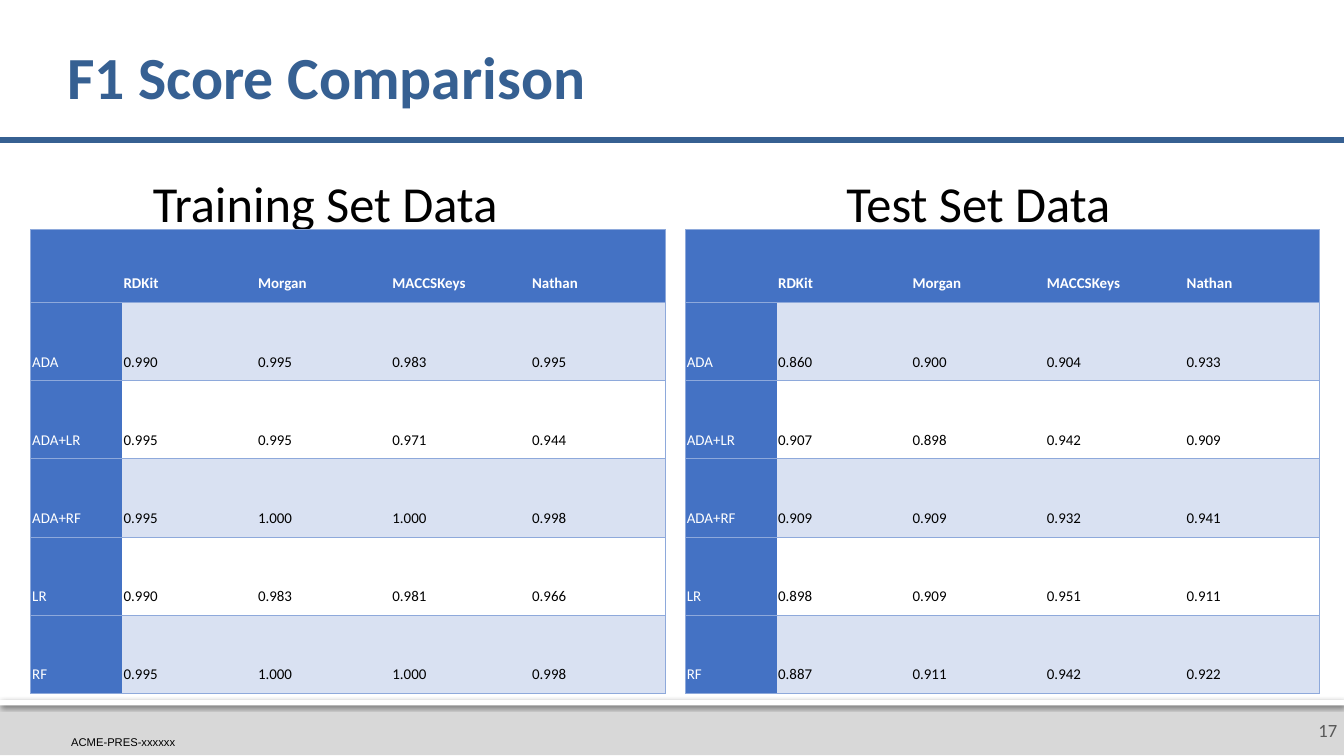
from dataclasses import dataclass

from pptx import Presentation
from pptx.dml.color import RGBColor
from pptx.enum.shapes import MSO_CONNECTOR as Connector, MSO_SHAPE as Shape
from pptx.enum.text import MSO_ANCHOR as Anchor, PP_ALIGN as Align
from pptx.oxml import parse_xml
from pptx.oxml.ns import nsdecls, qn
from pptx.util import Inches, Pt


@dataclass(frozen=True)
class Theme:
    title: str = "366092"
    header: str = "4472C4"
    band: str = "D9E1F2"
    border: str = "8EA9DB"
    footer: str = "D8D8D8"
    number: str = "595959"
    black: str = "000000"
    white: str = "FFFFFF"
    font: str = "Calibri"
    footer_font: str = "Arial"
    title_size: float = 32
    heading_size: float = 27
    number_size: float = 10
    cell_size: float = 8
    footer_size: float = 6


theme = Theme()
NO_GRID_STYLE = "{2D5ABB26-0587-4C30-8999-92F81FD0307C}"
COLUMN_WIDTHS = [0.68, 1, 1, 1.04, 1]
ROW_HEIGHTS = [0.54] + [2.91 / 5] * 5
FINGERPRINTS = ["", "RDKit", "Morgan", "MACCSKeys", "Nathan"]
MODELS = ["ADA", "ADA+LR", "ADA+RF", "LR", "RF"]
TRAINING_SCORES = [
    [0.990, 0.995, 0.983, 0.995],
    [0.995, 0.995, 0.971, 0.944],
    [0.995, 1.000, 1.000, 0.998],
    [0.990, 0.983, 0.981, 0.966],
    [0.995, 1.000, 1.000, 0.998],
]
TEST_SCORES = [
    [0.860, 0.900, 0.904, 0.933],
    [0.907, 0.898, 0.942, 0.909],
    [0.909, 0.909, 0.932, 0.941],
    [0.898, 0.909, 0.951, 0.911],
    [0.887, 0.911, 0.942, 0.922],
]


def add_run(paragraph, text, size, color, bold=False, font=theme.font):
    run = paragraph.add_run()
    run.text = text
    run.font.name = font
    run.font.size = Pt(size)
    run.font.bold = bold
    run.font.color.rgb = RGBColor.from_string(color)


def add_text_box(box, insets, anchor, align):
    """Add an empty text box and return its first paragraph."""
    frame = slide.shapes.add_textbox(*map(Inches, box)).text_frame
    frame.word_wrap = True
    frame.vertical_anchor = anchor
    (frame.margin_left, frame.margin_top,
     frame.margin_right, frame.margin_bottom) = map(Inches, insets)
    paragraph = frame.paragraphs[0]
    paragraph.alignment = align
    return paragraph


presentation = Presentation()
presentation.slide_width = Inches(10)
presentation.slide_height = Inches(10 * 9 / 16)
slide = presentation.slides.add_slide(presentation.slide_layouts[6])

# Footer
for height, color in [(0.41, theme.footer), (0.04, theme.white)]:
    bar = slide.shapes.add_shape(
        Shape.RECTANGLE, Inches(0), Inches(5.21), Inches(10), Inches(height))
    bar.shadow.inherit = False
    bar.fill.solid()
    bar.fill.fore_color.rgb = RGBColor.from_string(color)
    bar.line.fill.background()
bar.element.spPr.find(qn("a:effectLst")).append(parse_xml(
    f'<a:outerShdw {nsdecls("a")} blurRad="{Pt(2.5)}" dist="{Pt(0.8)}" '
    f'dir="5400000" rotWithShape="0"><a:srgbClr val="{theme.black}">'
    '<a:alpha val="60000"/></a:srgbClr></a:outerShdw>'))

paragraph = add_text_box((9.65, 5.25, 0.35, 0.37), (0.1, 0.05, 0.05, 0.05),
                         Anchor.MIDDLE, Align.RIGHT)
add_run(paragraph, "17", theme.number_size, theme.number)
paragraph = add_text_box((0.53, 5.49, 0.96, 0.08), (0, 0, 0, 0),
                         Anchor.BOTTOM, Align.LEFT)
add_run(paragraph, "ACME-PRES-xxxxxx", theme.footer_size, theme.black,
        font=theme.footer_font)

# Title
rule = slide.shapes.add_connector(
    Connector.STRAIGHT, Inches(-0.01), Inches(1.04), Inches(10), Inches(1.04))
rule.line.color.rgb = RGBColor.from_string(theme.title)
rule.line.width = Pt(3)
rule.element.spPr.append(parse_xml(f'<a:effectLst {nsdecls("a")}/>'))

paragraph = add_text_box((0.5, 0.18, 9, 0.83), (0, 0.05, 0.05, 0.05),
                         Anchor.MIDDLE, Align.LEFT)
paragraph.line_spacing = 0.9
add_run(paragraph, "F1 Score Comparison", theme.title_size, theme.title, bold=True)

# Score tables with their headings
for heading, heading_left, table_left, scores in [
    ("Training Set Data", 0.57, 0.23, TRAINING_SCORES),
    ("Test Set Data", 5.43, 5.1, TEST_SCORES),
]:
    paragraph = add_text_box((heading_left, 1.18, 3.7, 0.53), (0.1,) * 4,
                             Anchor.TOP, Align.CENTER)
    add_run(paragraph, heading, theme.heading_size, theme.black)

    rows = [FINGERPRINTS] + [
        [model] + [f"{score:.3f}" for score in values]
        for model, values in zip(MODELS, scores)]
    frame = slide.shapes.add_table(
        len(rows), len(FINGERPRINTS), Inches(table_left), Inches(1.71),
        Inches(sum(COLUMN_WIDTHS)), Inches(sum(ROW_HEIGHTS)))
    table = frame.table
    frame.element.find(".//" + qn("a:tableStyleId")).text = NO_GRID_STYLE
    table.horz_banding = False
    table.first_col = True
    for column, width in zip(table.columns, COLUMN_WIDTHS):
        column.width = Inches(width)

    for row_index, (row, texts) in enumerate(zip(table.rows, rows)):
        row.height = Inches(ROW_HEIGHTS[row_index])
        for column_index, (cell, text) in enumerate(zip(row.cells, texts)):
            is_label = row_index == 0 or column_index == 0
            cell.vertical_anchor = Anchor.BOTTOM
            cell.margin_left = cell.margin_top = cell.margin_right = Inches(0.01)
            cell.margin_bottom = Inches(0.07)
            if is_label or row_index % 2:
                cell.fill.solid()
                cell.fill.fore_color.rgb = RGBColor.from_string(
                    theme.header if is_label else theme.band)
            else:
                cell.fill.background()

            paragraph = cell.text_frame.paragraphs[0]
            if not is_label:
                paragraph.line_spacing = 1.15
            if text:
                add_run(paragraph, text, theme.cell_size,
                        theme.white if is_label else theme.black,
                        bold=row_index == 0)

            sides = ["L"] if column_index == 0 else []
            if column_index == len(texts) - 1:
                sides.append("R")
            properties = cell._tc.get_or_add_tcPr()
            for position, side in enumerate(sides + ["T", "B"]):
                properties.insert(position, parse_xml(
                    f'<a:ln{side} {nsdecls("a")} w="{Pt(0.5)}"><a:solidFill>'
                    f'<a:srgbClr val="{theme.border}"/></a:solidFill></a:ln{side}>'))

presentation.save("out.pptx")
